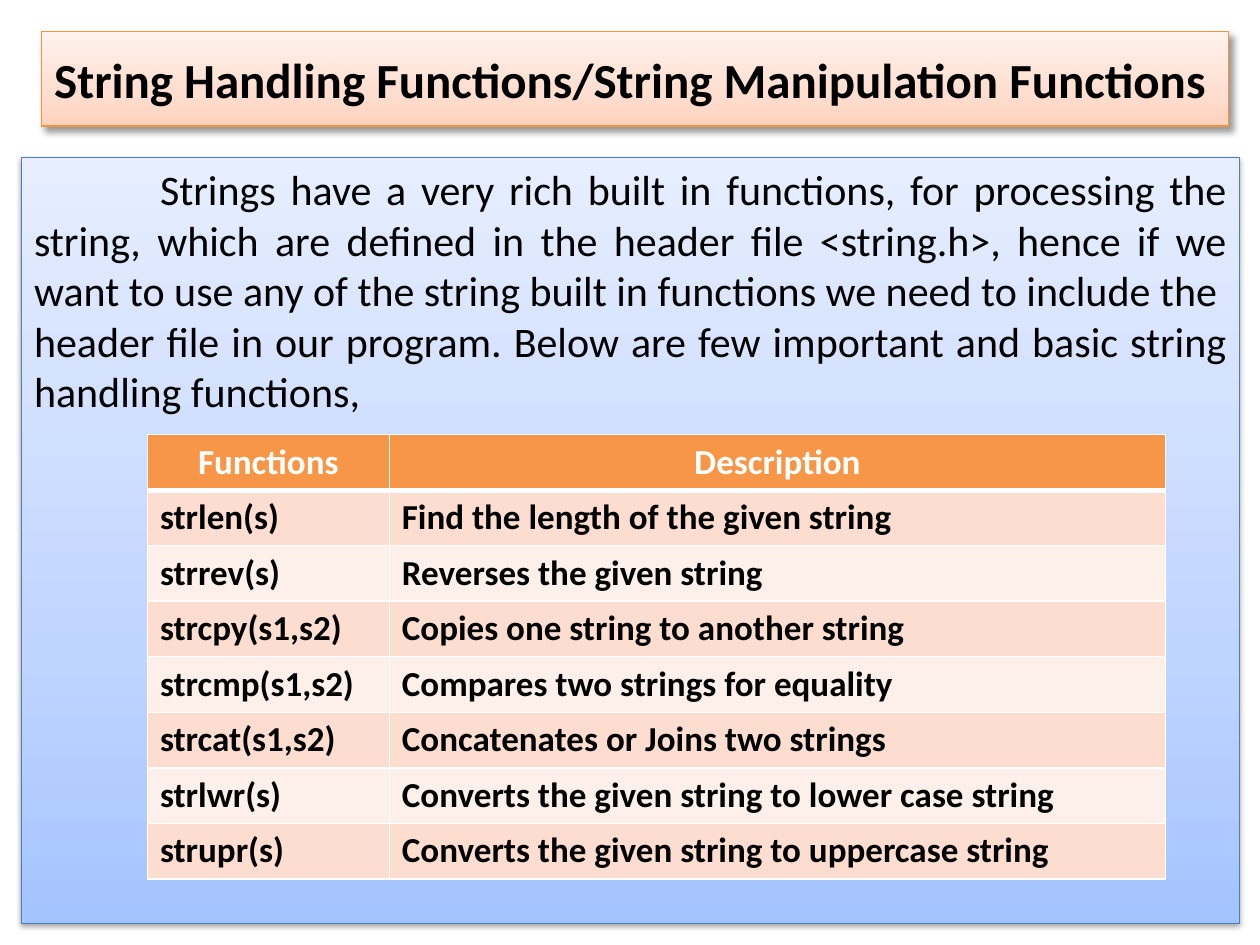
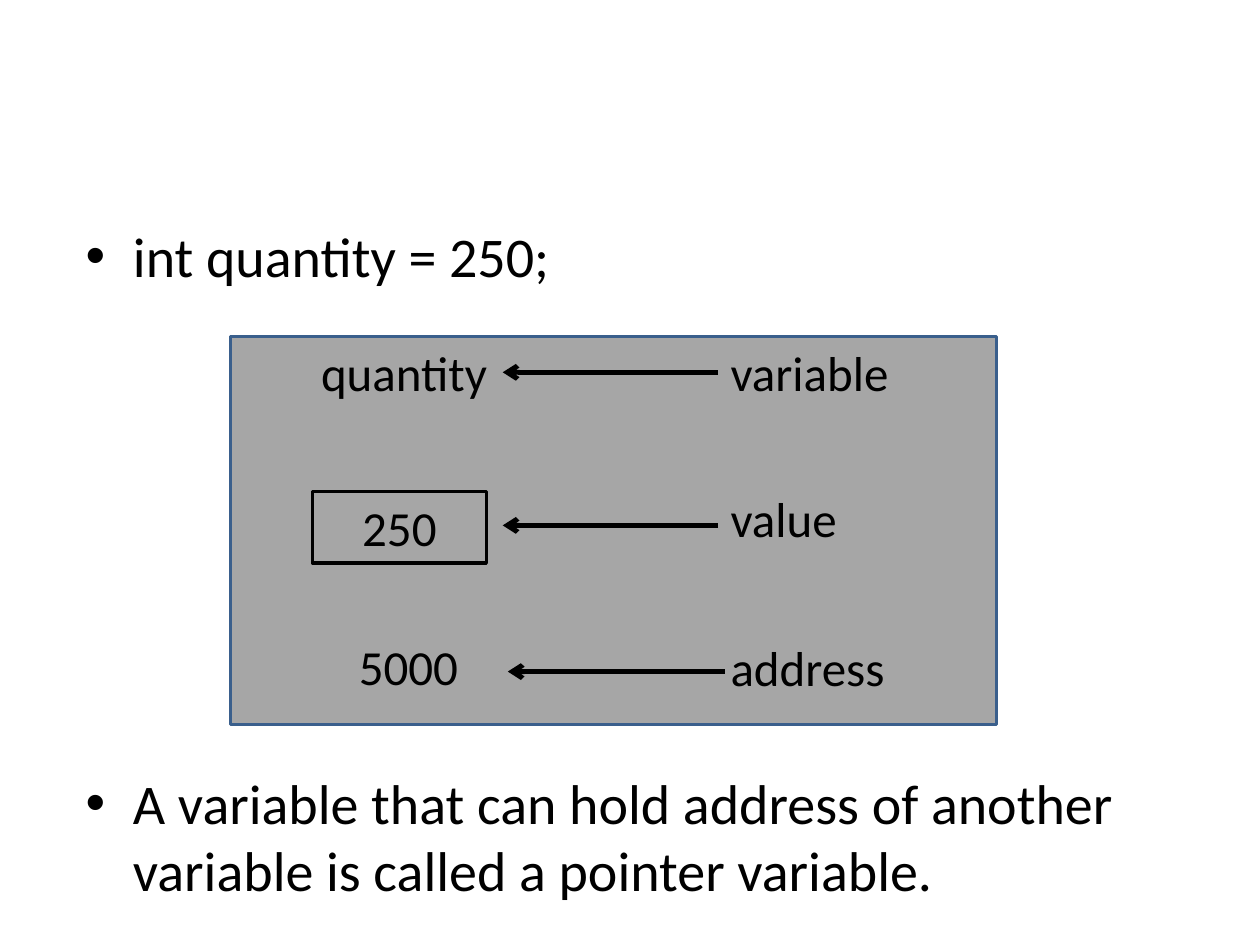
"""Build two slides on string functions and pointer variables."""
import lxml.etree
import pptx
import pptx.dml.color
import pptx.enum.shapes
import pptx.enum.text
import pptx.oxml
import pptx.oxml.ns
import pptx.util

Inches = pptx.util.Inches
Pt = pptx.util.Pt
qn = pptx.oxml.ns.qn
ALIGN = pptx.enum.text.PP_ALIGN
ANCHOR = pptx.enum.text.MSO_ANCHOR
FIT = pptx.enum.text.MSO_AUTO_SIZE
RECT = pptx.enum.shapes.MSO_SHAPE.RECTANGLE
STRAIGHT = pptx.enum.shapes.MSO_CONNECTOR.STRAIGHT

FONT = "Calibri"
COLORS = {
    "black": "000000",
    "white": "FFFFFF",
    "orange": "F69240",
    "blue": "4B7EBC",
    "navy": "3A5F8C",
    "grey": "A6A6A6",
    "head": "F79646",
    "odd": "FCDDCF",
    "even": "FDEFE9",
}
PEACH = [(0, "FFD2BD"), (35, "FFDED0"), (100, "FFF2ED")]
SKY = [(0, "A4C4FF"), (35, "BFD4FF"), (100, "E6EEFF")]

INTRO = (
    "Strings have a very rich built in functions, for processing the string, "
    "which are defined in the header file <string.h>, hence if we want to use "
    "any of the string built in functions we need to include the  header file "
    "in our program. Below are few important and basic string handling functions,"
)
ROWS = [
    ("Functions", "Description"),
    ("strlen(s)", "Find the length of the given string"),
    ("strrev(s)", "Reverses the given string"),
    ("strcpy(s1,s2)", "Copies one string to another string"),
    ("strcmp(s1,s2)", "Compares two strings for equality"),
    ("strcat(s1,s2)", "Concatenates or Joins two strings"),
    ("strlwr(s)", "Converts the given string to lower case string"),
    ("strupr(s)", "Converts the given string to uppercase string"),
]


def rgb(name):
    """Return the named colour."""
    return pptx.dml.color.RGBColor.from_string(COLORS[name])


def add_run(para, text, size, color="black", bold=False):
    """Add one styled run to a paragraph."""
    run = para.add_run()
    run.text = text
    font = run.font
    font.name, font.size, font.bold = FONT, Pt(size), bold
    font.color.rgb = rgb(color)


def place(shape, left, top, width, height):
    """Move and size a placeholder."""
    shape.left, shape.top = Inches(left), Inches(top)
    shape.width, shape.height = Inches(width), Inches(height)
    shape.text_frame.auto_size = FIT.NONE


def set_line(shape, color, width):
    """Give a shape or connector its line."""
    shape.line.color.rgb = rgb(color)
    shape.line.width = Pt(width)


def style_card(shape, stops, edge, shade):
    """Give a placeholder a gradient, an edge and a soft shadow."""
    shape.fill.gradient()
    shape.fill.gradient_angle = 90
    props = shape.element.spPr
    ramp = props.find(qn("a:gradFill")).find(qn("a:gsLst"))
    for stop in list(ramp):
        ramp.remove(stop)
    for spot, tone in stops:
        stop = lxml.etree.SubElement(ramp, qn("a:gs"), pos=str(spot * 1000))
        lxml.etree.SubElement(stop, qn("a:srgbClr"), val=tone)
    set_line(shape, edge, 0.75)
    alpha, blur, dist, angle = shade
    group = lxml.etree.SubElement(props, qn("a:effectLst"))
    cast = lxml.etree.SubElement(
        group, qn("a:outerShdw"), blurRad=str(Pt(blur)), dist=str(Pt(dist)),
        dir=str(angle * 60000), algn="ctr", rotWithShape="0")
    tone = lxml.etree.SubElement(cast, qn("a:srgbClr"), val=COLORS["black"])
    lxml.etree.SubElement(tone, qn("a:alpha"), val=str(alpha * 1000))


def set_edges(cell, base):
    """Draw white borders round a cell, with its own base width."""
    props = cell._tc.get_or_add_tcPr()
    for spot, (side, width) in enumerate(
            [("lnL", 1), ("lnR", 1), ("lnT", 1), ("lnB", base)]):
        edge = lxml.etree.Element(qn("a:" + side), w=str(Pt(width)))
        fill = lxml.etree.SubElement(edge, qn("a:solidFill"))
        lxml.etree.SubElement(fill, qn("a:srgbClr"), val=COLORS["white"])
        props.insert(spot, edge)


def add_grid(slide, rows, left, top, widths, height):
    """Add the banded table of functions."""
    frame = slide.shapes.add_table(
        len(rows), len(widths), Inches(left), Inches(top),
        Inches(sum(widths)), Inches(height * len(rows)))
    table = frame.table
    table.horz_banding = False
    for col, width in zip(table.columns, widths):
        col.width = Inches(width)
    for y, row in enumerate(rows):
        head = y == 0
        band = "head" if head else "odd" if y % 2 else "even"
        for x, text in enumerate(row):
            cell = table.cell(y, x)
            cell.fill.solid()
            cell.fill.fore_color.rgb = rgb(band)
            set_edges(cell, 3 if head else 1)
            para = cell.text_frame.paragraphs[0]
            para.alignment = ALIGN.CENTER if head else ALIGN.LEFT
            add_run(para, text, 20, "white" if head else "black", True)


def add_box(slide, left, top, width, height, edge, fill=None):
    """Add a rectangle, filled or clear."""
    box = slide.shapes.add_shape(
        RECT, Inches(left), Inches(top), Inches(width), Inches(height))
    box.shadow.inherit = False
    if fill:
        box.fill.solid()
        box.fill.fore_color.rgb = rgb(fill)
    else:
        box.fill.background()
    set_line(box, edge, 2)
    return box


def add_label(slide, text, left, top, width):
    """Add a one-line label."""
    label = slide.shapes.add_textbox(
        Inches(left), Inches(top), Inches(width), Inches(0.57))
    frame = label.text_frame
    frame.word_wrap = False
    frame.auto_size = FIT.SHAPE_TO_FIT_TEXT
    add_run(frame.paragraphs[0], text, 28)
    return label


def add_arrow(slide, start, end, top):
    """Add a level arrow from start to end."""
    arrow = slide.shapes.add_connector(
        STRAIGHT, Inches(start), Inches(top), Inches(end), Inches(top))
    set_line(arrow, "black", 2.75)
    props = arrow.element.spPr
    lxml.etree.SubElement(props.find(qn("a:ln")), qn("a:tailEnd"), type="arrow")
    lxml.etree.SubElement(props, qn("a:effectLst"))
    return arrow


def build_strings(deck):
    """Build the slide of string functions."""
    slide = deck.slides.add_slide(deck.slide_layouts[1])
    title, body = slide.placeholders
    place(title, 0.33, 0.25, 9.42, 0.75)
    style_card(title, PEACH, "orange", (40, 4, 3, 45))
    title.text_frame.vertical_anchor = ANCHOR.MIDDLE
    para = title.text_frame.paragraphs[0]
    para.alignment = ALIGN.LEFT
    add_run(para, "String Handling Functions/String Manipulation Functions",
            28, bold=True)

    place(body, 0.17, 1.25, 9.67, 6.08)
    style_card(body, SKY, "blue", (38, 3.1, 1.6, 90))
    para = body.text_frame.paragraphs[0]
    para.alignment = ALIGN.JUSTIFY
    props = para._p.get_or_add_pPr()
    props.set("marL", "0")
    props.set("indent", str(Inches(1)))
    lxml.etree.SubElement(props, qn("a:buNone"))
    add_run(para, INTRO, 24)
    add_grid(slide, ROWS, 1.17, 3.45, (1.92, 6.16), 0.44)


def build_pointer(deck):
    """Build the slide on a variable, its value and its address."""
    slide = deck.slides.add_slide(deck.slide_layouts[1])
    title, body = slide.placeholders
    title.element.getparent().remove(title.element)
    panel = add_box(slide, 1.83, 2.67, 6.08, 3.08, "navy", "grey")
    body.element.addprevious(panel.element)

    place(body, 0.58, 1.71, 9, 5.5)
    frame = body.text_frame
    add_run(frame.paragraphs[0], "int quantity = 250;", 32)
    last = frame.add_paragraph()
    last.space_before = Pt(274)
    add_run(last, "A variable that can hold address of another variable "
            "is called a pointer variable.", 32)

    name = add_label(slide, "quantity", 2.45, 2.67, 1.54)
    kind = add_label(slide, "variable", 5.7, 2.67, 1.47)
    add_label(slide, "value", 5.7, 3.83, 1.05)
    add_label(slide, "address", 5.7, 5.01, 1.44)
    add_label(slide, "5000", 2.75, 5, 1)

    arrow = add_arrow(slide, 5.7, 3.99, 2.95)
    arrow.begin_connect(kind, 1)
    arrow.end_connect(name, 3)
    add_arrow(slide, 5.7, 3.99, 4.17)
    add_arrow(slide, 5.75, 4.03, 5.33)

    value = add_box(slide, 2.48, 3.9, 1.38, 0.57, "black")
    value.text_frame.vertical_anchor = ANCHOR.MIDDLE
    para = value.text_frame.paragraphs[0]
    para.alignment = ALIGN.CENTER
    add_run(para, "250", 28)


def main():
    """Build and save the deck."""
    deck = pptx.Presentation()
    deck.slide_width, deck.slide_height = Inches(10), Inches(7.5)
    build_strings(deck)
    build_pointer(deck)
    deck.save("out.pptx")


if __name__ == "__main__":
    main()
